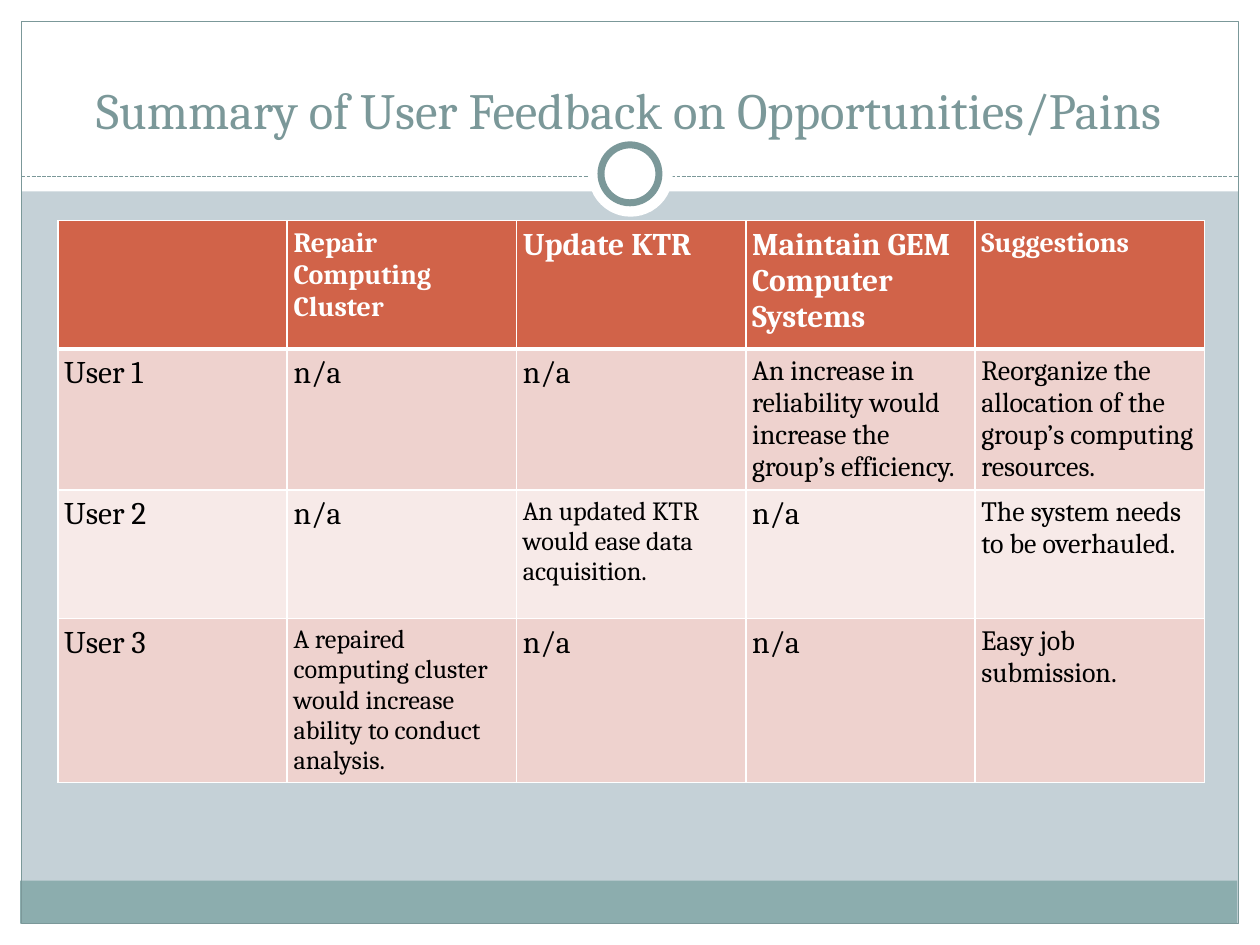
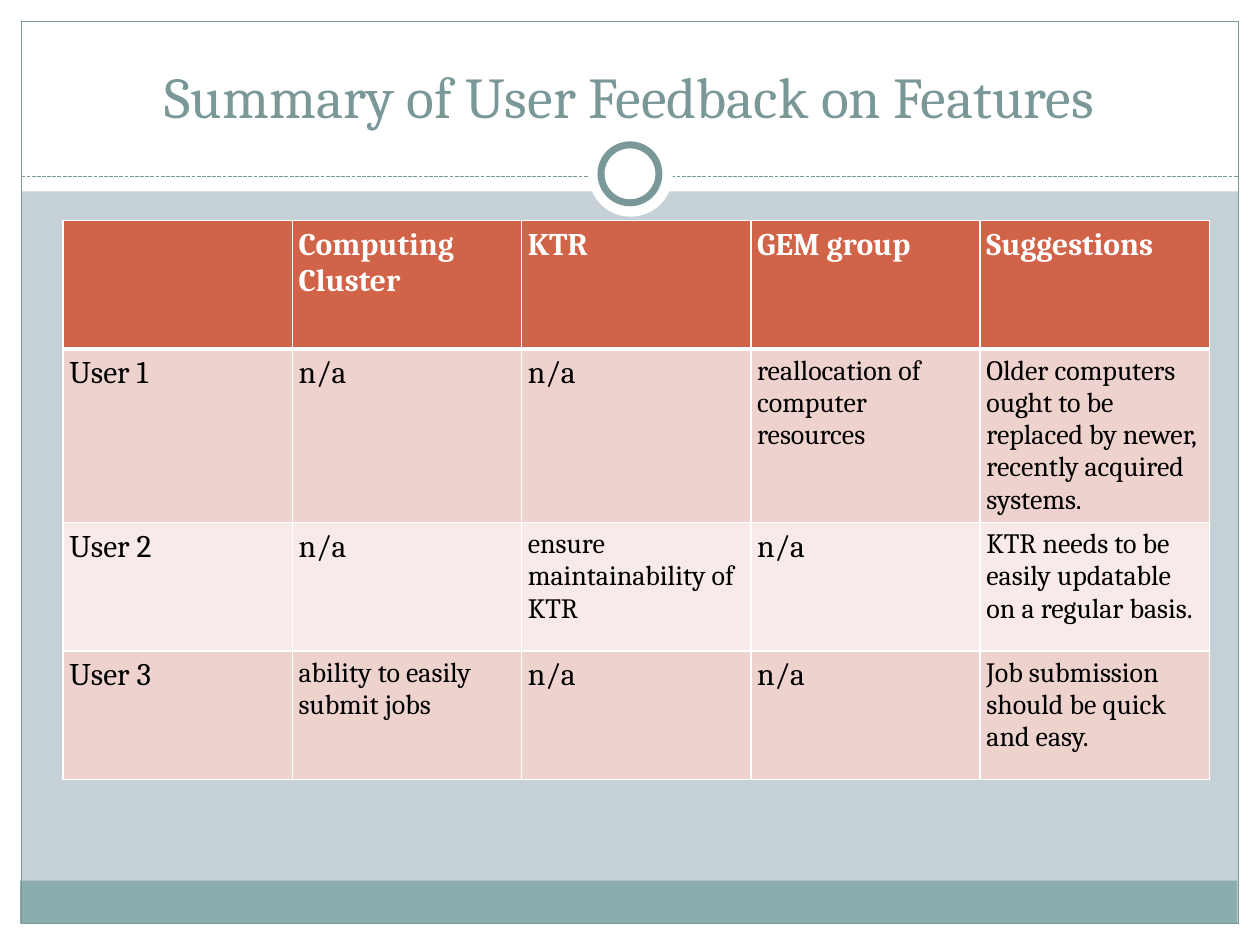
"""Build two slides that summarise user feedback in tables."""
from dataclasses import dataclass

import lxml.etree
import pptx
import pptx.dml.color
import pptx.enum.dml
import pptx.enum.shapes
import pptx.enum.text
import pptx.oxml.ns
import pptx.slide
import pptx.util

RGB = pptx.dml.color.RGBColor
SHAPE = pptx.enum.shapes.MSO_SHAPE
qn = pptx.oxml.ns.qn

PX = 9144
FONT = "Cambria"
WHITE = RGB(0xFF, 0xFF, 0xFF)
BLACK = RGB(0x00, 0x00, 0x00)
BACKGROUND = RGB(0xC5, 0xD1, 0xD7)
SLATE = RGB(0x7B, 0x98, 0x99)
TEAL = RGB(0x8C, 0xAD, 0xAE)
HEADER_FILL = RGB(0xD1, 0x63, 0x49)
BAND_FILLS = (RGB(0xF7, 0xEA, 0xE8), RGB(0xEE, 0xD2, 0xCE))

TABLE_TOP = 175
COLUMN_WIDTH = 182
ROW_HEIGHT = 102
INSET = 5


@dataclass(frozen=True)
class Decor:
    left: int
    top: int
    width: int
    height: int
    fill: RGB | None = None
    line: RGB | None = None
    weight: float = 0.75
    kind: SHAPE = SHAPE.RECTANGLE


@dataclass(frozen=True)
class Cell:
    text: str = ""
    size: int = 18


@dataclass(frozen=True)
class Feedback:
    title: str
    title_top: int
    title_size: int
    table_left: int
    row_heights: tuple[int, ...]
    rows: tuple[tuple[Cell, ...], ...]


PANELS = (
    Decor(0, 733, 1000, 17, WHITE),
    Decor(0, 0, 1000, 152, WHITE),
    Decor(0, 0, 17, 750, WHITE),
    Decor(983, 0, 17, 750, WHITE),
    Decor(16, 699, 966, 34, TEAL),
    Decor(17, 17, 966, 716, line=SLATE),
)
RINGS = (
    Decor(467, 105, 67, 67, WHITE, kind=SHAPE.OVAL),
    Decor(477, 115, 46, 46, WHITE, SLATE, 4, SHAPE.OVAL),
)
NA = Cell("n/a")

FEEDBACK = (
    Feedback(
        "Summary of User Feedback on Opportunities/Pains", 33, 29, 46,
        (ROW_HEIGHT, ROW_HEIGHT, ROW_HEIGHT, 71),
        (
            (Cell(), Cell("Repair Computing Cluster", 16), Cell("Update KTR"),
             Cell("Maintain GEM Computer Systems"), Cell("Suggestions", 16)),
            (Cell("User 1"), NA, NA,
             Cell("An increase in reliability would increase the group’s efficiency.", 16),
             Cell("Reorganize the allocation of the group’s computing resources.", 16)),
            (Cell("User 2"), NA,
             Cell("An updated KTR would ease data acquisition.", 15), NA,
             Cell("The system needs to be overhauled.", 16)),
            (Cell("User 3"),
             Cell("A repaired computing cluster would increase ability to conduct analysis.", 15),
             NA, NA, Cell("Easy job submission.", 16)),
        ),
    ),
    Feedback(
        "Summary of User Feedback on Features", 25, 33, 50,
        (ROW_HEIGHT,) * 4,
        (
            (Cell(), Cell("Computing Cluster"), Cell("KTR"),
             Cell("GEM group"), Cell("Suggestions")),
            (Cell("User 1"), NA, NA,
             Cell("reallocation of computer resources", 16),
             Cell("Older computers ought to be replaced by newer, recently acquired systems.", 16)),
            (Cell("User 2"), NA, Cell("ensure maintainability of KTR", 16), NA,
             Cell("KTR needs to be easily updatable on a regular basis.", 16)),
            (Cell("User 3"), Cell("ability to easily submit jobs", 16), NA, NA,
             Cell("Job submission should be quick and easy.", 16)),
        ),
    ),
)


def px(*lengths: int) -> list[int]:
    return [length * PX for length in lengths]


def add_run(p, text: str, size: int, color: RGB, bold: bool = False) -> None:
    r = p.add_run()
    r.text = text
    r.font.name = FONT
    r.font.size = pptx.util.Pt(size)
    r.font.bold = bold
    r.font.color.rgb = color


def set_insets(box) -> None:
    box.margin_left = box.margin_top = INSET * PX
    box.margin_right = box.margin_bottom = INSET * PX


def draw_decor(s: pptx.slide.Slide, decor: Decor) -> None:
    sp = s.shapes.add_shape(
        decor.kind, *px(decor.left, decor.top, decor.width, decor.height))
    sp.shadow.inherit = False
    if decor.fill is None:
        sp.fill.background()
    else:
        sp.fill.solid()
        sp.fill.fore_color.rgb = decor.fill
    if decor.line is None:
        sp.line.fill.background()
    else:
        sp.line.color.rgb = decor.line
        sp.line.width = pptx.util.Pt(decor.weight)


def draw_divider(s: pptx.slide.Slide) -> None:
    line = s.shapes.add_connector(
        pptx.enum.shapes.MSO_CONNECTOR.STRAIGHT, *px(17, 140, 983, 140))
    line.line.color.rgb = SLATE
    line.line.width = pptx.util.Pt(0.75)
    line.line.dash_style = pptx.enum.dml.MSO_LINE.SQUARE_DOT
    lxml.etree.SubElement(line.element.spPr, qn("a:effectLst"))


def draw_frame(s: pptx.slide.Slide) -> None:
    s.background.fill.solid()
    s.background.fill.fore_color.rgb = BACKGROUND
    for panel in PANELS:
        draw_decor(s, panel)
    draw_divider(s)
    for ring in RINGS:
        draw_decor(s, ring)


def draw_title(s: pptx.slide.Slide, feedback: Feedback) -> None:
    sp = s.shapes.title
    s.shapes.element.append(sp.element)
    sp.left, sp.top, sp.width, sp.height = px(33, feedback.title_top, 933, 83)
    tf = sp.text_frame
    tf.word_wrap = True
    tf.auto_size = pptx.enum.text.MSO_AUTO_SIZE.NONE
    tf.vertical_anchor = pptx.enum.text.MSO_ANCHOR.BOTTOM
    set_insets(tf)
    p = tf.paragraphs[0]
    p.alignment = pptx.enum.text.PP_ALIGN.CENTER
    add_run(p, feedback.title, feedback.title_size, SLATE)


def set_borders(tc_pr, row: int) -> None:
    weights = {"L": 1, "R": 1, "T": 3 if row == 1 else 1, "B": 3 if row == 0 else 1}
    for position, (side, weight) in enumerate(weights.items()):
        ln = lxml.etree.Element(qn(f"a:ln{side}"), w=str(pptx.util.Pt(weight)))
        fill = lxml.etree.SubElement(ln, qn("a:solidFill"))
        lxml.etree.SubElement(fill, qn("a:srgbClr"), val=str(WHITE))
        tc_pr.insert(position, ln)


def draw_table(s: pptx.slide.Slide, feedback: Feedback) -> None:
    columns = len(feedback.rows[0])
    frame = s.shapes.add_table(
        len(feedback.rows), columns,
        *px(feedback.table_left, TABLE_TOP,
            columns * COLUMN_WIDTH, sum(feedback.row_heights)))
    table = frame.table
    for row, height in zip(table.rows, feedback.row_heights):
        row.height = height * PX
    for i, cells in enumerate(feedback.rows):
        header = i == 0
        for j, content in enumerate(cells):
            cell = table.cell(i, j)
            set_insets(cell)
            cell.fill.solid()
            cell.fill.fore_color.rgb = HEADER_FILL if header else BAND_FILLS[i % 2]
            if content.text:
                add_run(cell.text_frame.paragraphs[0], content.text,
                        content.size, WHITE if header else BLACK, header)
    for k, tc_pr in enumerate(frame.element.iter(qn("a:tcPr"))):
        set_borders(tc_pr, k // columns)


def main() -> None:
    prs = pptx.Presentation()
    prs.slide_width, prs.slide_height = px(1000, 750)
    for feedback in FEEDBACK:
        s = prs.slides.add_slide(prs.slide_layouts[5])
        draw_frame(s)
        draw_title(s, feedback)
        draw_table(s, feedback)
    prs.save("out.pptx")


if __name__ == "__main__":
    main()
